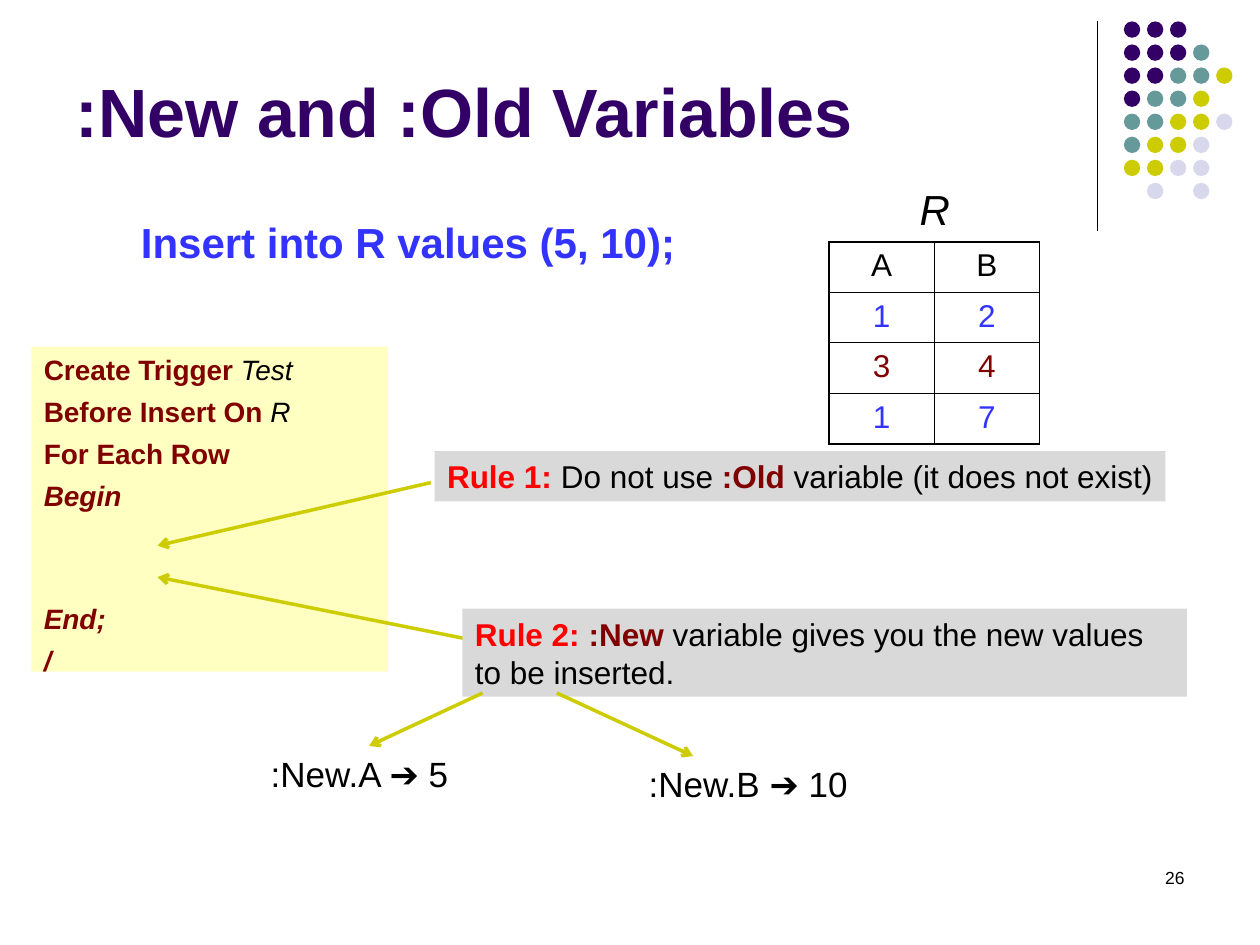
from lxml import etree
from pptx import Presentation
from pptx.dml.color import RGBColor
from pptx.enum import shapes, text
from pptx.oxml import ns
from pptx.util import Inches, Pt

FONT = "Arial"
BLACK = RGBColor(0x00, 0x00, 0x00)
PURPLE = RGBColor(0x33, 0x00, 0x66)
TEAL = RGBColor(0x66, 0x99, 0x99)
OLIVE = RGBColor(0xCC, 0xCC, 0x00)
LAVENDER = RGBColor(0xD8, 0xD8, 0xEC)
BLUE = RGBColor(0x33, 0x33, 0xFF)
MAROON = RGBColor(0x80, 0x00, 0x00)
RED = RGBColor(0xFF, 0x00, 0x00)
CREAM = RGBColor(0xFF, 0xFF, 0xC2)
GRAY = RGBColor(0xD9, 0xD9, 0xD9)

PLAIN = {"color": BLACK}
NAME = {"color": BLACK, "italic": True}
KEYWORD = {"color": MAROON, "bold": True}
BLOCK = {**KEYWORD, "italic": True}
RULE = {"color": RED, "bold": True}

DOT_COLORS = {"P": PURPLE, "T": TEAL, "O": OLIVE, "L": LAVENDER}
DOT_ROWS = ("PPP", "PPPT", "PPTTO", "PTTO", "TTOOL", "TOOL", "OOLL", ".L.L")


def style_font(font, size, color, **formats):
    font.name, font.size = FONT, Pt(size)
    font.color.rgb = color
    for attribute, value in formats.items():
        setattr(font, attribute, value)


def add_runs(paragraph, size, runs):
    for wording, formats in runs:
        run = paragraph.add_run()
        run.text = wording
        style_font(run.font, size, **formats)


def add_label(slide, left, top, width, height, size, runs, wrap=False):
    label = slide.shapes.add_textbox(
        Inches(left), Inches(top), Inches(width), Inches(height))
    label.text_frame.word_wrap = wrap
    add_runs(label.text_frame.paragraphs[0], size, runs)
    return label


def add_panel(slide, left, top, width, height, color):
    panel = slide.shapes.add_shape(
        shapes.MSO_SHAPE.RECTANGLE,
        Inches(left), Inches(top), Inches(width), Inches(height))
    panel.shadow.inherit = False
    panel.fill.solid()
    panel.fill.fore_color.rgb = color
    panel.line.fill.background()
    panel.text_frame.vertical_anchor = text.MSO_ANCHOR.TOP
    panel.text_frame.paragraphs[0].alignment = text.PP_ALIGN.LEFT
    return panel


def add_line(slide, start, end, color, width, arrow=False):
    line = slide.shapes.add_connector(
        shapes.MSO_CONNECTOR.STRAIGHT, *map(Inches, start + end))
    line.line.color.rgb = color
    line.line.width = Pt(width)
    properties = line._element.spPr
    if arrow:
        outline = properties.find(ns.qn("a:ln"))
        etree.SubElement(outline, ns.qn("a:tailEnd"), type="arrow")
    etree.SubElement(properties, ns.qn("a:effectLst"))


def add_corner_dots(slide, left, top, pitch=0.183, size=0.13):
    add_line(slide, (left - 0.21, top), (left - 0.21, top + 1.66), BLACK, 0.75)
    for row, codes in enumerate(DOT_ROWS):
        for column, code in enumerate(codes):
            if code not in DOT_COLORS:
                continue
            dot = slide.shapes.add_shape(
                shapes.MSO_SHAPE.OVAL,
                Inches(left + column * pitch), Inches(top + row * pitch),
                Inches(size), Inches(size))
            dot.shadow.inherit = False
            dot.fill.solid()
            dot.fill.fore_color.rgb = DOT_COLORS[code]
            dot.line.fill.background()


def format_title(slide, left, top, width, height):
    title = slide.shapes.title
    title.left, title.top = Inches(left), Inches(top)
    title.width, title.height = Inches(width), Inches(height)
    frame = title.text_frame
    frame.auto_size = text.MSO_AUTO_SIZE.NONE
    frame.vertical_anchor = text.MSO_ANCHOR.BOTTOM
    frame.paragraphs[0].alignment = text.PP_ALIGN.LEFT
    add_runs(frame.paragraphs[0], 39,
             [(":New and :Old Variables", {"color": PURPLE, "bold": True})])


def set_borders(cell, widths):
    """Draw the left, right, top and bottom borders at widths in points."""
    properties = cell._tc.get_or_add_tcPr()
    for position, (side, width) in enumerate(zip("LRTB", widths)):
        border = etree.Element(ns.qn(f"a:ln{side}"), w=str(Pt(width)))
        fill = etree.SubElement(border, ns.qn("a:solidFill"))
        etree.SubElement(fill, ns.qn("a:srgbClr"), val=str(BLACK))
        properties.insert(position, border)


def add_relation(slide, left, top, width, height):
    rows = (("A", "B", BLACK), ("1", "2", BLUE), ("3", "4", MAROON), ("1", "7", BLUE))
    outer, inner = 1.08, 0.45
    add_label(slide, left + 0.62, top - 0.51, 0.44, 0.5, 24, [("R", NAME)])
    relation = slide.shapes.add_table(
        len(rows), 2, Inches(left), Inches(top), Inches(width), Inches(height)).table
    for r, (*values, color) in enumerate(rows):
        for c, value in enumerate(values):
            cell = relation.cell(r, c)
            cell.fill.background()
            edges = (c == 0, c == 1, r == 0, r == len(rows) - 1)
            set_borders(cell, [outer if edge else inner for edge in edges])
            paragraph = cell.text_frame.paragraphs[0]
            paragraph.alignment = text.PP_ALIGN.CENTER
            add_runs(paragraph, 18, [(value, {"color": color, "bold": False})])


def add_trigger_code(slide, left, top, width, height):
    gap, body_gap = 4.8, 51
    lines = (
        (0, [("Create Trigger ", KEYWORD), ("Test", NAME)]),
        (gap, [("Before Insert On ", KEYWORD), ("R", NAME)]),
        (gap, [("For Each Row", KEYWORD)]),
        (gap, [("Begin", BLOCK)]),
        (body_gap, [("End;", BLOCK)]),
        (gap, [("/", BLOCK)]),
    )
    frame = add_panel(slide, left, top, width, height, CREAM).text_frame
    for number, (space, runs) in enumerate(lines):
        paragraph = frame.add_paragraph() if number else frame.paragraphs[0]
        paragraph.alignment = text.PP_ALIGN.LEFT
        paragraph.space_before = Pt(space)
        add_runs(paragraph, 16, runs)


def add_rule(slide, left, top, width, height, runs, wrap):
    panel = add_panel(slide, left, top, width, height, GRAY)
    panel.text_frame.word_wrap = wrap
    add_runs(panel.text_frame.paragraphs[0], 18, runs)


def add_old_rule(slide, left, top, width, height):
    add_line(slide, (left - 0.03, top + 0.25), (1.25, 4.33), OLIVE, 2, arrow=True)
    add_rule(slide, left, top, width, height, [
        ("Rule 1: ", RULE), ("Do not use ", PLAIN), (":Old ", KEYWORD),
        ("variable (it does not exist)", PLAIN)], wrap=False)


def add_new_rule(slide, left, top, width, height):
    add_line(slide, (left + 0.08, top + 0.25), (1.25, 4.58), OLIVE, 2, arrow=True)
    add_rule(slide, left, top, width, height, [
        ("Rule 2: ", RULE), (":New", KEYWORD),
        (" variable gives you the new values to be inserted.", PLAIN)], wrap=True)
    results = ((":New.A ➔ 5", 2.05, 5.92, 1.76, 0.16, 2.93),
               (":New.B ➔ 10", 5.05, 6, 1.91, 0.75, 5.5))
    for wording, label_left, label_top, label_width, offset, tip in results:
        add_label(slide, label_left, label_top, label_width, 0.44, 20,
                  [(wording, PLAIN)])
        add_line(slide, (left + offset, top + 0.67), (tip, label_top),
                 OLIVE, 2, arrow=True)


def add_slide_number(slide, left, top, width, height):
    label = add_label(slide, left, top, width, height, 10, [("26", PLAIN)], wrap=True)
    paragraph = label.text_frame.paragraphs[0]
    paragraph.alignment = text.PP_ALIGN.RIGHT


def main():
    deck = Presentation()
    deck.slide_width, deck.slide_height = Inches(10), Inches(7.5)
    slide = deck.slides.add_slide(deck.slide_layouts[5])
    add_corner_dots(slide, 8.92, 0.17)
    format_title(slide, 0.5, 0.13, 8.25, 1.12)
    add_slide_number(slide, 7.17, 6.83, 2.33, 0.5)
    add_relation(slide, 6.58, 1.92, 1.67, 1.6)
    add_label(slide, 1.02, 1.67, 4.44, 0.5, 24,
              [("Insert into R values (5, 10);", {"color": BLUE, "bold": True})])
    add_trigger_code(slide, 0.25, 2.75, 2.83, 2.58)
    add_old_rule(slide, 3.45, 3.58, 5.8, 0.4)
    add_new_rule(slide, 3.67, 4.83, 5.75, 0.7)
    deck.save("out.pptx")


if __name__ == "__main__":
    main()
